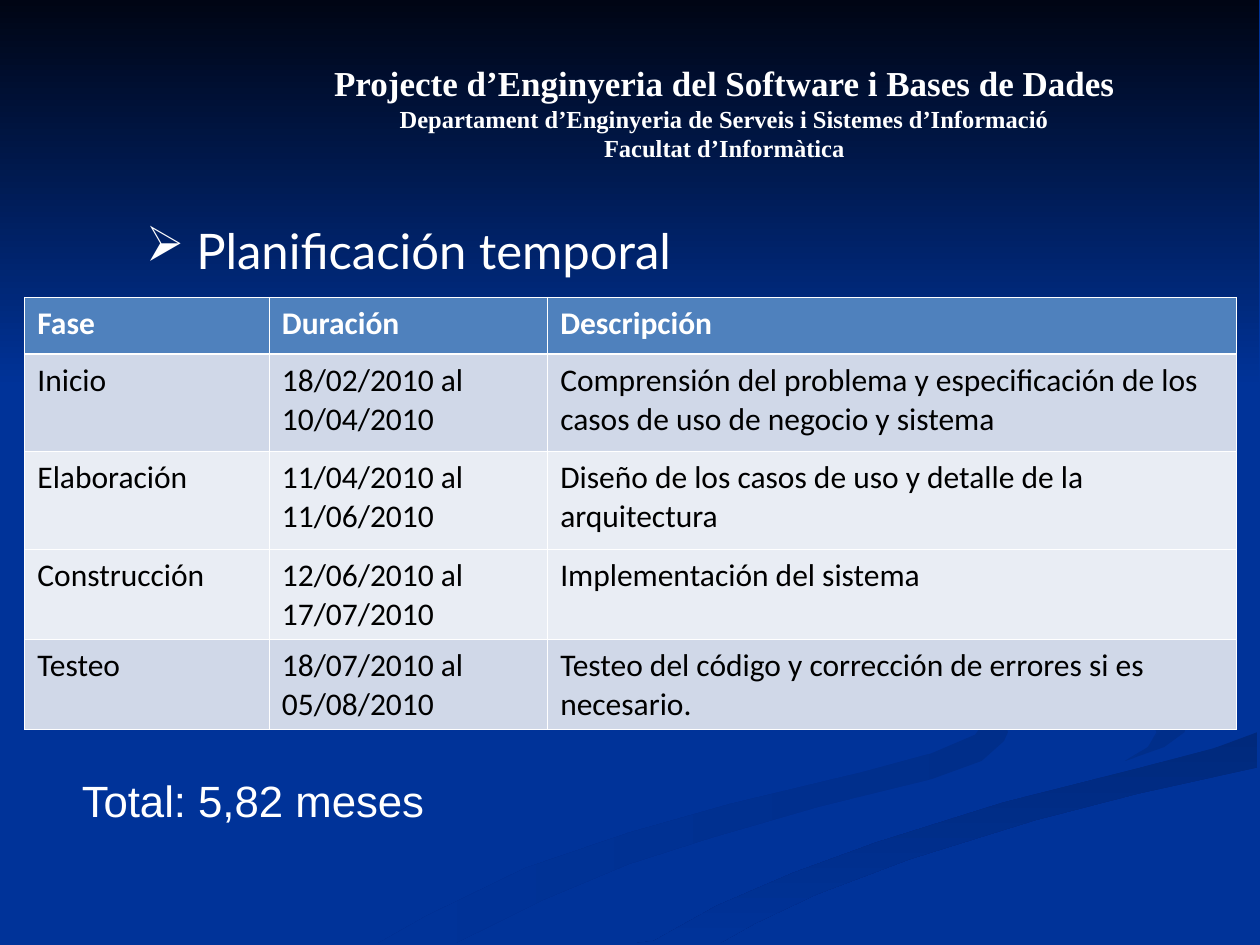
from lxml import etree
from pptx import Presentation
from pptx.dml.color import RGBColor
from pptx.enum.shapes import MSO_SHAPE
from pptx.enum.text import PP_ALIGN
from pptx.oxml.ns import qn
from pptx.util import Cm, Pt

RECTANGLE = MSO_SHAPE.RECTANGLE
CENTER, LEFT = PP_ALIGN.CENTER, PP_ALIGN.LEFT

WHITE, BLACK = "FFFFFF", "000000"
BLUE, NIGHT = "003399", "000514"
HEADER_FILL, DARK_BAND, LIGHT_BAND = "4F81BD", "D0D8E8", "E9EDF4"
THIN, THICK = Pt(0.45), Pt(1.47)

RIBBONS = [
    ("002E8A", 180, [
        (14.6, 11.66), (14.53, 12.09), (15.27, 12.57), (16.61, 13.03),
        (18.49, 13.56), (19.69, 14.05), (19.96, 14.38), (19.66, 14.81),
        (18.77, 15.19), (17.37, 15.57), (14.71, 16.21), (12.67, 16.79),
        (10.59, 17.5), (8.59, 18.47), (7.62, 19.02), (9.17, 19.02),
        (10.95, 18.14), (12.67, 17.42), (14.33, 16.89), (16.51, 16.26),
        (18.8, 15.7), (19.79, 15.34), (20.24, 14.94), (20.32, 14.76),
        (20.19, 14.4), (19.84, 14.05), (18.9, 13.67), (17.32, 13.16),
        (15.57, 12.6), (14.78, 12.12), (14.58, 11.79)]),
    ("002E8A", 135, [
        (18.39, 11.79), (18.52, 12.27), (19.18, 12.83), (20.22, 13.31),
        (21.69, 13.69), (22.63, 14.05), (23.14, 14.4), (23.32, 14.76),
        (23.14, 15.06), (22.68, 15.34), (23.47, 15.06), (23.88, 14.76),
        (23.93, 14.48), (23.62, 14.05), (22.96, 13.72), (21.59, 13.31),
        (20.12, 12.93), (18.9, 12.45), (18.44, 12.04)]),
    ("00297C", 270, [
        (12.78, 19.02), (14.5, 19.02), (15.21, 18.62), (16.46, 18.03),
        (18.34, 17.32), (20.85, 16.54), (22.94, 16), (25.35, 15.47),
        (25.35, 14.76), (24.46, 15.09), (22.94, 15.49), (20.22, 16.18),
        (17.65, 16.99), (15.98, 17.6), (14.45, 18.26), (13.18, 18.97)]),
]

COLUMN_WIDTHS = [4.93, 5.61, 13.89]
ROW_HEIGHTS = [1.15, 1.96, 1.98, 1.8, 1.8]
ROW_FILLS = [HEADER_FILL, DARK_BAND, LIGHT_BAND, LIGHT_BAND, DARK_BAND]
PHASES = [
    ("Fase", "Duración", "Descripción"),
    ("Inicio", "18/02/2010 al 10/04/2010",
     "Comprensión del problema y especificación de los casos de uso de negocio y sistema"),
    ("Elaboración", "11/04/2010 al 11/06/2010",
     "Diseño de los casos de uso y detalle de la arquitectura"),
    ("Construcción", "12/06/2010 al 17/07/2010", "Implementación del sistema"),
    ("Testeo", "18/07/2010 al 05/08/2010",
     "Testeo del código y corrección de errores si es necesario."),
]


def rgb(color):
    return RGBColor.from_string(color)


def fade(shape, start, angle):
    shape.shadow.inherit = False
    shape.line.fill.background()
    shape.fill.gradient()
    shape.fill.gradient_angle = angle
    for stop, color in zip(shape.fill.gradient_stops, (start, BLUE)):
        stop.color.rgb = rgb(color)


def add_ribbon(slide, start, angle, outline):
    points = [(Cm(x), Cm(y)) for x, y in outline]
    builder = slide.shapes.build_freeform(*points[0])
    builder.add_line_segments(points[1:], close=True)
    fade(builder.convert_to_shape(), start, angle)


def format_text(paragraph, font_name, size, color, bold=False):
    for run in paragraph.runs:
        run.font.name = font_name
        run.font.size = Pt(size)
        run.font.bold = bold
        run.font.color.rgb = rgb(color)


def add_text(slide, place, lines, sizes, font_name, bold=False, align=LEFT):
    frame = slide.shapes.add_textbox(*map(Cm, place)).text_frame
    frame.word_wrap = True
    frame.text = "\n".join(lines)
    for paragraph, size in zip(frame.paragraphs, sizes):
        paragraph.alignment = align
        format_text(paragraph, font_name, size, WHITE, bold)
    return frame


def add_bullet(paragraph, symbol, hang):
    properties = paragraph._p.get_or_add_pPr()
    properties.set("marL", str(Cm(hang)))
    properties.set("indent", str(-Cm(hang)))
    bullet_color = etree.SubElement(properties, qn("a:buClr"))
    etree.SubElement(bullet_color, qn("a:srgbClr"), val=WHITE)
    etree.SubElement(properties, qn("a:buChar"), char=symbol)


def add_borders(cell, top, bottom):
    properties = cell._tc.get_or_add_tcPr()
    for side, width in (("L", THIN), ("R", THIN), ("T", top), ("B", bottom)):
        border = etree.SubElement(properties, qn(f"a:ln{side}"), w=str(width))
        solid = etree.SubElement(border, qn("a:solidFill"))
        etree.SubElement(solid, qn("a:srgbClr"), val=WHITE)


def add_schedule(slide):
    place = (0.5, 5.99, sum(COLUMN_WIDTHS), sum(ROW_HEIGHTS))
    schedule = slide.shapes.add_table(
        len(PHASES), len(COLUMN_WIDTHS), *map(Cm, place)).table
    for column, width in zip(schedule.columns, COLUMN_WIDTHS):
        column.width = Cm(width)
    for index, (row, height) in enumerate(zip(schedule.rows, ROW_HEIGHTS)):
        row.height = Cm(height)
        is_header = index == 0
        for cell, content in zip(row.cells, PHASES[index]):
            add_borders(cell, THICK if index == 1 else THIN,
                        THICK if is_header else THIN)
            cell.fill.solid()
            cell.fill.fore_color.rgb = rgb(ROW_FILLS[index])
            cell.text_frame.text = content
            paragraph = cell.text_frame.paragraphs[0]
            paragraph.line_spacing = 1.02
            format_text(paragraph, "Calibri", 18,
                        WHITE if is_header else BLACK, is_header)


def main():
    deck = Presentation()
    deck.slide_width, deck.slide_height = Cm(25.4), Cm(19.05)
    slide = deck.slides.add_slide(deck.slide_layouts[6])
    slide.background.fill.solid()
    slide.background.fill.fore_color.rgb = rgb(BLUE)

    for start, angle, outline in RIBBONS:
        add_ribbon(slide, start, angle, outline)
    sky = slide.shapes.add_shape(RECTANGLE, 0, 0, Cm(25.38), Cm(7.82))
    fade(sky, NIGHT, 270)

    add_text(slide, (6.3, 1.12, 16.61, 2.87),
             ["Projecte d’Enginyeria del Software i Bases de Dades",
              "Departament d’Enginyeria de Serveis i Sistemes d’Informació",
              "Facultat d’Informàtica"],
             [20, 14, 14], "Times New Roman", bold=True, align=CENTER)
    heading = add_text(slide, (2.69, 4.32, 20.19, 3.25),
                       ["Planificación temporal"], [28], "Lato")
    add_bullet(heading.paragraphs[0], "➢", 1.02)
    add_schedule(slide)
    add_text(slide, (1.4, 15.47, 21.23, 1.32), ["Total: 5,82 meses"], [25], "Arial")
    deck.save("out.pptx")


if __name__ == "__main__":
    main()
